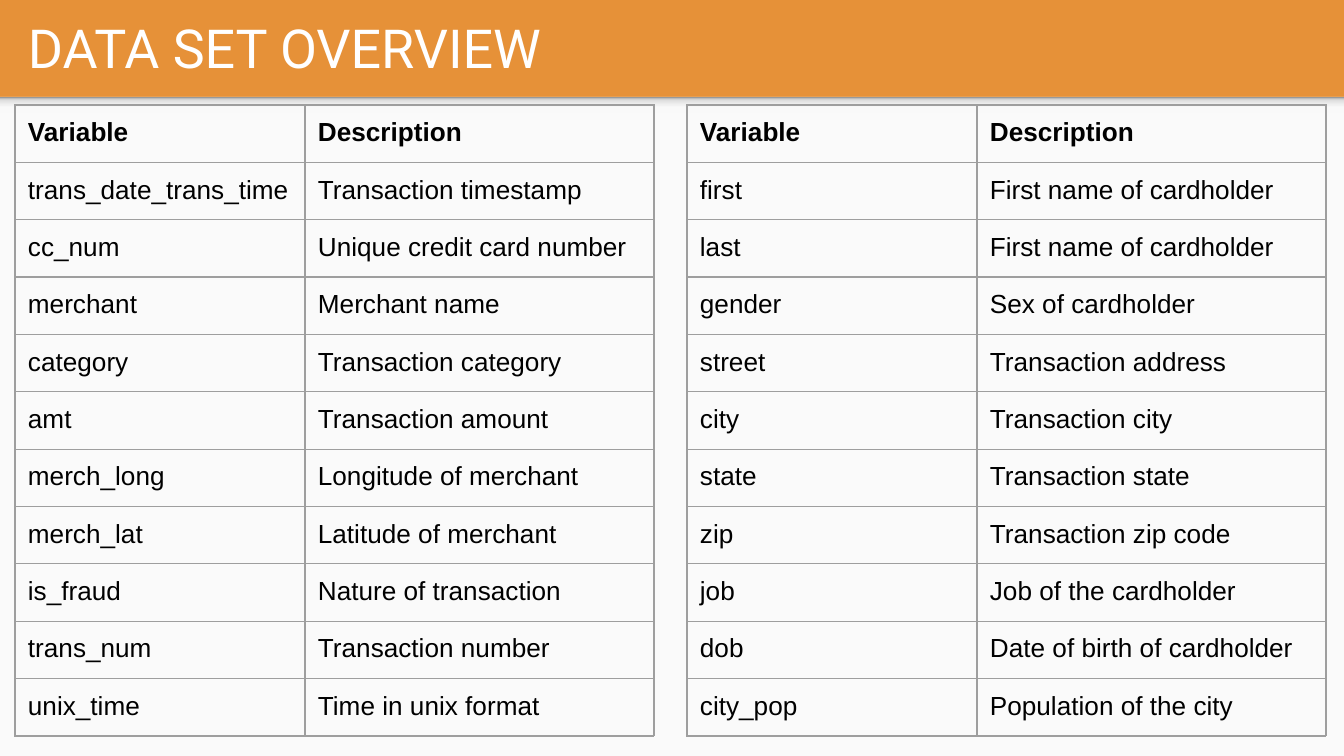
from lxml.etree import SubElement
from pptx import Presentation
from pptx.dml.color import RGBColor
from pptx.enum.shapes import MSO_SHAPE
from pptx.enum.text import MSO_ANCHOR
from pptx.oxml.ns import qn
from pptx.util import Pt

PX = 9144000 / 1344
COLORS = {
    "orange": "E69138", "page": "FAFAFA", "white": "FFFFFF", "ink": "000000",
    "rule": "9E9E9E", "light": "F9F9F9", "mid": "DEDEDE", "dark": "999999",
}
INSET = 13
COLS = (290, 349)
ROW = 56

LEFT = [
    ("Variable", "Description"),
    ("trans_date_trans_time", "Transaction timestamp"),
    ("cc_num", "Unique credit card number"),
    ("merchant", "Merchant name"),
    ("category", "Transaction category"),
    ("amt", "Transaction amount"),
    ("merch_long", "Longitude of merchant"),
    ("merch_lat", "Latitude of merchant"),
    ("is_fraud", "Nature of transaction"),
    ("trans_num", "Transaction number"),
    ("unix_time", "Time in unix format"),
]
RIGHT = [
    ("Variable", "Description"),
    ("first", "First name of cardholder"),
    ("last", "First name of cardholder"),
    ("gender", "Sex of cardholder"),
    ("street", "Transaction address"),
    ("city", "Transaction city"),
    ("state", "Transaction state"),
    ("zip", "Transaction zip code"),
    ("job", "Job of the cardholder"),
    ("dob", "Date of birth of cardholder"),
    ("city_pop", "Population of the city"),
]


def px(n):
    return round(n * PX)


def color(name):
    return RGBColor.from_string(COLORS[name])


def style(para, font, size, ink, bold=False):
    for run in para.runs:
        run.font.name = font
        run.font.size = Pt(size)
        run.font.bold = bold
        run.font.color.rgb = color(ink)


def pad(item):
    """Give a cell or text frame equal insets on all sides."""
    item.margin_left = item.margin_right = px(INSET)
    item.margin_top = item.margin_bottom = px(INSET)


def add_rect(slide, x, y, w, h):
    rect = slide.shapes.add_shape(MSO_SHAPE.RECTANGLE, px(x), px(y), px(w), px(h))
    rect.shadow.inherit = False
    rect.line.fill.background()
    return rect


def add_page(slide, x, y, w, h):
    """Draw the pale body and the soft shade along its top edge."""
    body = add_rect(slide, x, y, w, h)
    body.fill.solid()
    body.fill.fore_color.rgb = color("page")
    shade = add_rect(slide, x, y, w, 16)
    shade.fill.gradient()
    shade.fill.gradient_angle = 90
    stops = shade._element.spPr.find(qn("a:gradFill")).find(qn("a:gsLst"))
    for stop in list(stops):
        stops.remove(stop)
    for pos, name in ((0, "light"), (36, "light"), (80, "mid"), (100, "dark")):
        stop = SubElement(stops, qn("a:gs"), pos=str(pos * 1000))
        SubElement(stop, qn("a:srgbClr"), val=COLORS[name])


def add_title(slide, x, y, w, h, text):
    frame = slide.shapes.add_textbox(px(x), px(y), px(w), px(h)).text_frame
    frame.word_wrap = True
    frame.vertical_anchor = MSO_ANCHOR.MIDDLE
    pad(frame)
    frame.text = text
    style(frame.paragraphs[0], "Roboto", 28.8, "white")


def add_edges(cell):
    props = cell._tc.get_or_add_tcPr()
    for i, side in enumerate(("a:lnL", "a:lnR", "a:lnT", "a:lnB")):
        line = SubElement(props, qn(side), w=str(Pt(0.75)))
        fill = SubElement(line, qn("a:solidFill"))
        SubElement(fill, qn("a:srgbClr"), val=COLORS["rule"])
        props.insert(i, line)


def add_grid(slide, x, y, data):
    shape = slide.shapes.add_table(len(data), len(COLS), px(x), px(y),
                                   px(sum(COLS)), px(ROW * len(data)))
    table = shape.table
    table.horz_banding = False
    for col, width in zip(table.columns, COLS):
        col.width = px(width)
    for r, texts in enumerate(data):
        table.rows[r].height = px(ROW)
        for c, text in enumerate(texts):
            cell = table.cell(r, c)
            cell.fill.background()
            pad(cell)
            cell.text_frame.text = text
            style(cell.text_frame.paragraphs[0], "Arial", 14, "ink", r == 0)
            add_edges(cell)


def main():
    deck = Presentation()
    deck.slide_width, deck.slide_height = px(1344), px(756)
    slide = deck.slides.add_slide(deck.slide_layouts[6])
    slide.background.fill.solid()
    slide.background.fill.fore_color.rgb = color("orange")
    add_page(slide, 0, 97, 1344, 659)
    add_title(slide, 15, 3, 1297, 89, "DATA SET OVERVIEW")
    add_grid(slide, 687, 105, RIGHT)
    add_grid(slide, 15, 105, LEFT)
    deck.save("out.pptx")


if __name__ == "__main__":
    main()
